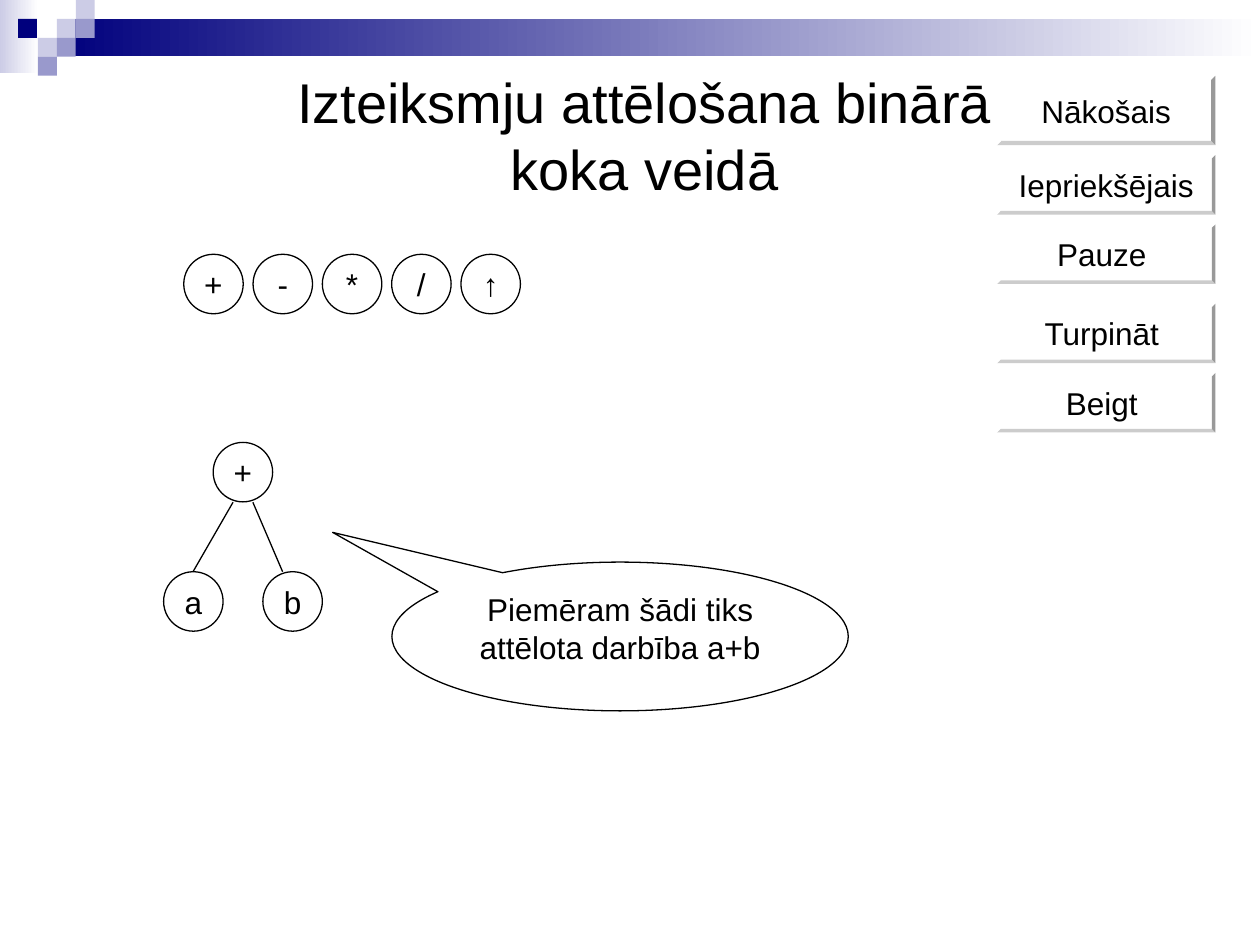
"""Build a slide showing how expressions are drawn as binary trees."""
from dataclasses import dataclass

from lxml import etree
from pptx import Presentation
from pptx.dml.color import RGBColor
from pptx.enum import shapes, text
from pptx.oxml import ns
from pptx.util import Pt

FONT = "Arial"
BLACK, WHITE = "000000", "FFFFFF"
NAVY, PALE, LILAC = "00007D", "CCCCE6", "9999CC"
CELL = 10.8
NODE_SIZE = 34
OPERATOR_STEP = 39.6
BUTTON_LEFT, BUTTON_WIDTH = 569.7, 124.8
KIND = shapes.MSO_SHAPE


@dataclass
class Area:
    left: float
    top: float
    width: float
    height: float

    def lengths(self) -> list:
        """Return the four measures as lengths."""
        return [Pt(value) for value in (self.left, self.top, self.width, self.height)]


@dataclass
class Square:
    column: int
    row: int
    color: str


@dataclass
class Button:
    label: str
    top: float
    height: float = 34


@dataclass
class Node:
    label: str
    left: float
    top: float


@dataclass
class Edge:
    start: tuple[float, float]
    end: tuple[float, float]


SQUARES = [
    Square(1, 1, PALE), Square(2, 0, PALE), Square(2, 1, LILAC),
    Square(0, 2, PALE), Square(1, 2, LILAC), Square(0, 3, LILAC),
]
BUTTONS = [
    Button("Nākošais", 43.3, 39.6), Button("Iepriekšējais", 88.6),
    Button("Pauze ", 128.2), Button("Turpināt ", 173.5), Button("Beigt ", 213.1),
]
TREE = [Node("+", 121.8, 252.8), Node("a", 93.5, 326.7), Node("b", 150.2, 326.7)]
EDGES = [Edge((110.3, 326.7), (133.2, 287)), Edge((161.5, 326.7), (144.5, 287))]


def rgb(color: str) -> RGBColor:
    """Turn a hex string into a colour."""
    return RGBColor.from_string(color)


def write(shape, words: str, size: float, anchor, wrap: bool) -> None:
    """Put centred black text into a shape."""
    frame = shape.text_frame
    frame.text = words
    frame.word_wrap = wrap
    frame.vertical_anchor = anchor
    para = frame.paragraphs[0]
    para.alignment = text.PP_ALIGN.CENTER
    for span in para.runs:
        span.font.name = FONT
        span.font.size = Pt(size)
        span.font.color.rgb = rgb(BLACK)


def add_shape(page, kind, area: Area, color: str, outlined: bool = False):
    """Add a flat preset shape with an optional thin outline."""
    shape = page.shapes.add_shape(kind, *area.lengths())
    shape.shadow.inherit = False
    shape.fill.solid()
    shape.fill.fore_color.rgb = rgb(color)
    if outlined:
        shape.line.color.rgb = rgb(BLACK)
        shape.line.width = Pt(0.75)
    else:
        shape.line.fill.background()
    return shape


def add_fade(page, area: Area, color: str) -> None:
    """Add a band that fades to white on the right."""
    fill = add_shape(page, KIND.RECTANGLE, area, color).fill
    fill.gradient()
    fill.gradient_angle = 0
    for stop, stop_color in zip(fill.gradient_stops, (color, WHITE)):
        stop.color.rgb = rgb(stop_color)


def add_square(page, square: Square) -> None:
    """Add one square of the corner pattern."""
    area = Area(21.7 + square.column * CELL, square.row * CELL, CELL, CELL)
    add_shape(page, KIND.RECTANGLE, area, square.color)


def add_button(page, button: Button) -> None:
    """Add a bevelled button."""
    area = Area(BUTTON_LEFT, button.top, BUTTON_WIDTH, button.height)
    shape = add_shape(page, KIND.BEVEL, area, WHITE)
    shape.adjustments[0] = 0.06
    write(shape, button.label, 18, text.MSO_ANCHOR.MIDDLE, False)


def add_node(page, node: Node) -> None:
    """Add a round tree node."""
    area = Area(node.left, node.top, NODE_SIZE, NODE_SIZE)
    shape = add_shape(page, KIND.OVAL, area, WHITE, outlined=True)
    write(shape, node.label, 18, text.MSO_ANCHOR.MIDDLE, False)


def add_edge(page, edge: Edge) -> None:
    """Add a thin line between two nodes."""
    ends = [Pt(value) for value in (*edge.start, *edge.end)]
    line = page.shapes.add_connector(shapes.MSO_CONNECTOR.STRAIGHT, *ends)
    line.line.color.rgb = rgb(BLACK)
    line.line.width = Pt(0.75)
    etree.SubElement(line._element.spPr, ns.qn("a:effectLst"))


def add_callout(page) -> None:
    """Add the balloon that explains the tree."""
    area = Area(224, 321.2, 260.8, 85)
    shape = add_shape(page, KIND.OVAL_CALLOUT, area, WHITE, outlined=True)
    shape.adjustments[0] = -0.63
    shape.adjustments[1] = -0.7
    words = "Piemēram šādi tiks attēlota darbība a+b"
    write(shape, words, 18, text.MSO_ANCHOR.TOP, True)


def set_title(page) -> None:
    """Place and format the title."""
    title = page.shapes.title
    title.left, title.top, title.width, title.height = Area(127.5, 31.7, 481.7, 84.2).lengths()
    words = "Izteiksmju attēlošana binārā koka veidā"
    write(title, words, 32, text.MSO_ANCHOR.TOP, True)
    title.text_frame.auto_size = text.MSO_AUTO_SIZE.NONE
    title.text_frame.margin_top = Pt(7)


def main() -> None:
    """Build and save the deck."""
    deck = Presentation()
    deck.slide_width, deck.slide_height = Pt(720), Pt(540)
    page = deck.slides.add_slide(deck.slide_layouts[5])
    set_title(page)
    add_fade(page, Area(0, 0, 22, 42), PALE)
    add_fade(page, Area(32.5, CELL, 687.5, 21.5), NAVY)
    add_shape(page, KIND.RECTANGLE, Area(10.3, CELL, CELL, CELL), NAVY)
    for square in SQUARES:
        add_square(page, square)
    for button in BUTTONS:
        add_button(page, button)
    for index, operator in enumerate("+-*/↑"):
        add_node(page, Node(operator, 105 + index * OPERATOR_STEP, 145.3))
    add_callout(page)
    for node in TREE:
        add_node(page, node)
    for edge in EDGES:
        add_edge(page, edge)
    deck.save("out.pptx")


if __name__ == "__main__":
    main()
